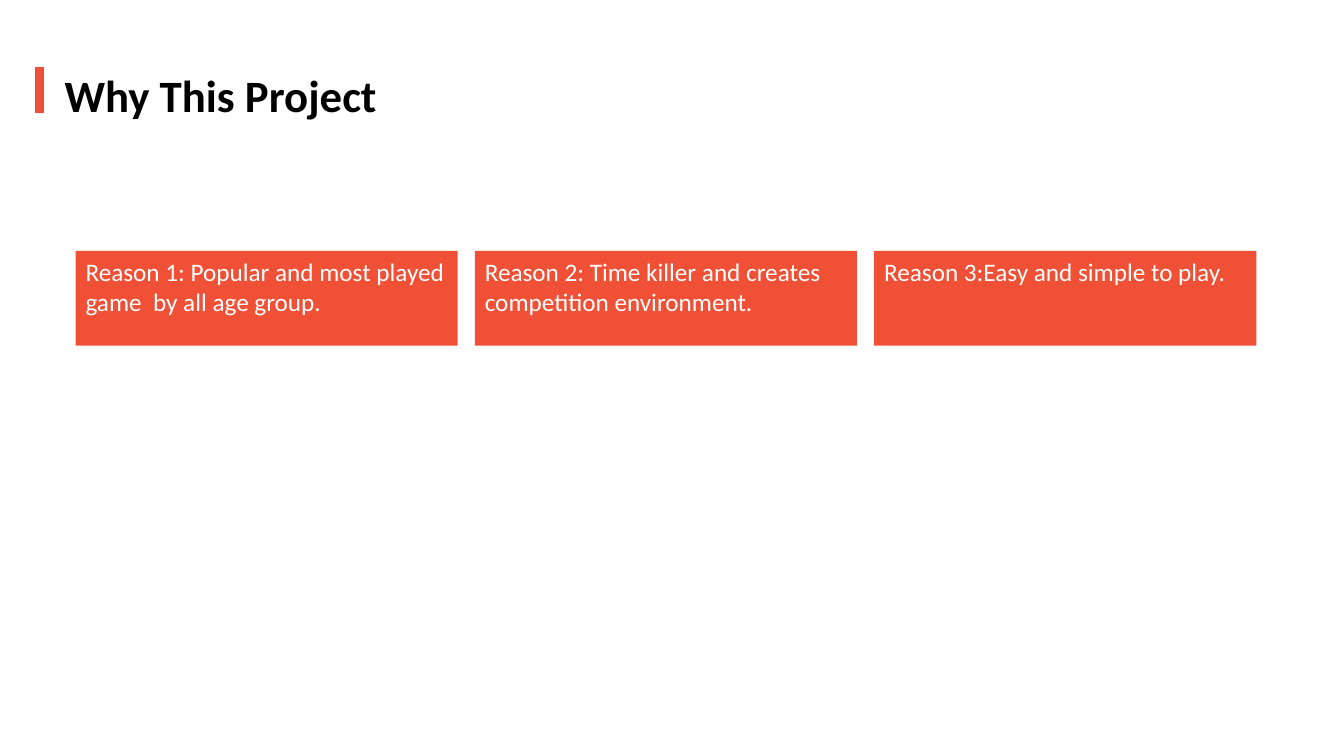
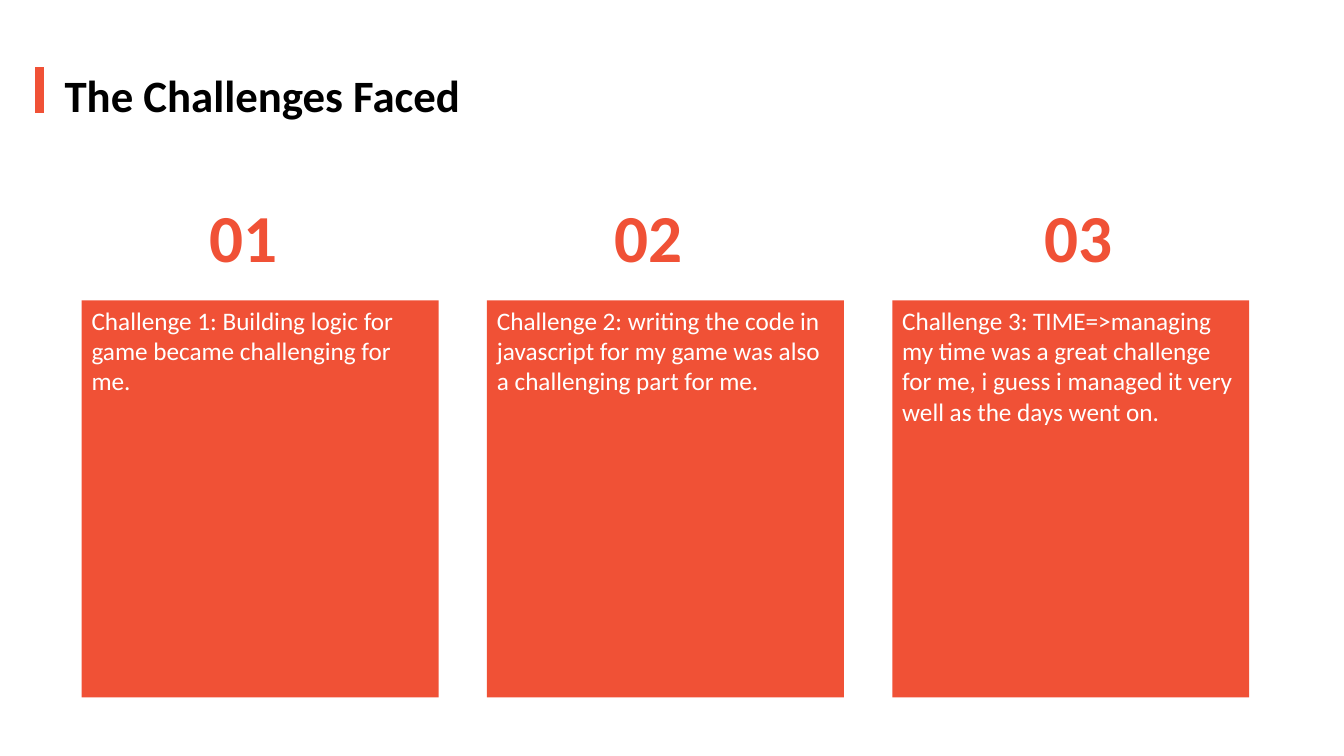
from pptx import Presentation
from pptx.dml.color import RGBColor
from pptx.enum.shapes import MSO_SHAPE
from pptx.enum.text import MSO_ANCHOR, MSO_AUTO_SIZE, PP_ALIGN
from pptx.util import Pt

RECTANGLE = MSO_SHAPE.RECTANGLE
TOP = MSO_ANCHOR.TOP
LEFT = PP_ALIGN.LEFT
NO_AUTOFIT = MSO_AUTO_SIZE.NONE

EMU_PER_PX = 9144  # 100 px to the inch
FONT = "Calibri"
COLORS = {"accent": "F05136", "white": "FFFFFF", "black": "000000"}

REASONS = [
    "Reason 1: Popular and most played game  by all age group.",
    "Reason 2: Time killer and creates competition environment.",
    "Reason 3:Easy and simple to play.",
]
CHALLENGES = [
    "Challenge 1: Building logic for game became challenging for me.",
    "Challenge 2: writing the code in javascript for my game was also "
    "a challenging part for me.",
    "Challenge 3: TIME=>managing my time was a great challenge for me, "
    "i guess i managed it very well as the days went on.",
]
NUMBER_LEFTS = [198, 600, 1026]


def px(length):
    return length * EMU_PER_PX


def color(name):
    return RGBColor.from_string(COLORS[name])


def write_text(shape, text, size=18, ink="white", bold=False):
    frame = shape.text_frame
    frame.word_wrap = True
    frame.auto_size = NO_AUTOFIT
    frame.vertical_anchor = TOP
    frame.margin_left = frame.margin_right = px(10)
    frame.margin_top = frame.margin_bottom = px(5)
    para = frame.paragraphs[0]
    para.alignment = LEFT
    span = para.add_run()
    span.text = text
    span.font.name = FONT
    span.font.size = Pt(size)
    span.font.bold = bold
    span.font.color.rgb = color(ink)


class DeckBuilder:
    """Holds the deck, its shared style and the current page."""

    def __init__(self):
        self.deck = Presentation()
        self.deck.slide_width = px(1333)
        self.deck.slide_height = px(750)
        self.page = None

    def add_page(self, title):
        layout = self.deck.slide_layouts.get_by_name("Title Only")
        self.page = self.deck.slides.add_slide(layout)
        self.add_box(34, 66, 10, 47, outline="white")
        box = self.page.shapes.title
        box.left, box.top, box.width, box.height = map(px, (54, 62, 497, 64))
        write_text(box, title, size=32, ink="black", bold=True)

    def add_box(self, left, top, width, height, fill="accent", outline=None):
        box = self.page.shapes.add_shape(
            RECTANGLE, px(left), px(top), px(width), px(height))
        box.shadow.inherit = False
        box.fill.solid()
        box.fill.fore_color.rgb = color(fill)
        if outline:
            box.line.color.rgb = color(outline)
            box.line.width = Pt(1)
        else:
            box.line.fill.background()
        return box

    def add_card_row(self, texts, left, top, width, height, pitch):
        """Place one card per text, with left edges one pitch apart."""
        for index, text in enumerate(texts):
            card = self.add_box(left + index * pitch, top, width, height)
            write_text(card, text)

    def add_number(self, number, left):
        box = self.add_box(left, 189, 107, 91, fill="white")
        write_text(box, f"{number:02d}", size=48, ink="accent", bold=True)


def main():
    builder = DeckBuilder()

    builder.add_page("Why This Project")
    builder.add_card_row(REASONS, 75, 249, 379, 94, pitch=396)

    builder.add_page("The Challenges Faced")
    builder.add_card_row(CHALLENGES, 81, 298, 354, 394, pitch=402)
    for number, left in enumerate(NUMBER_LEFTS, start=1):
        builder.add_number(number, left)

    builder.deck.save("out.pptx")


if __name__ == "__main__":
    main()
